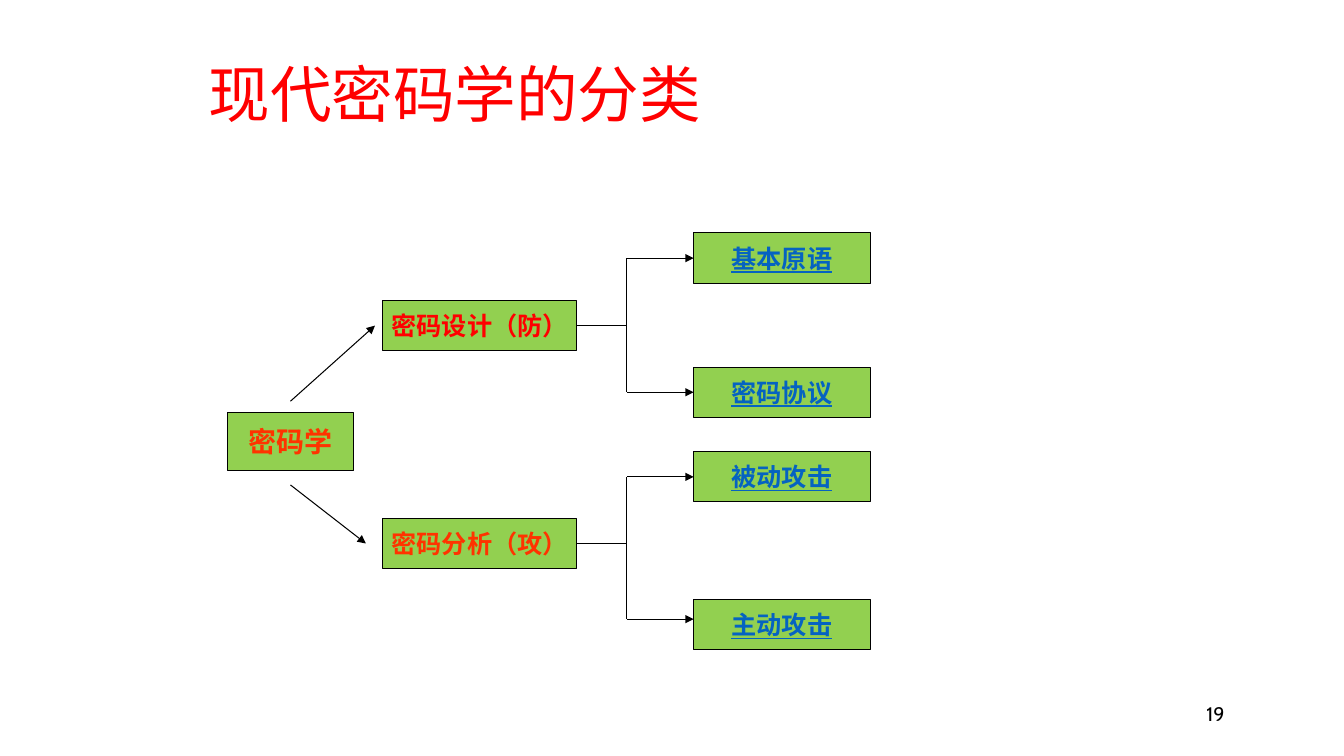
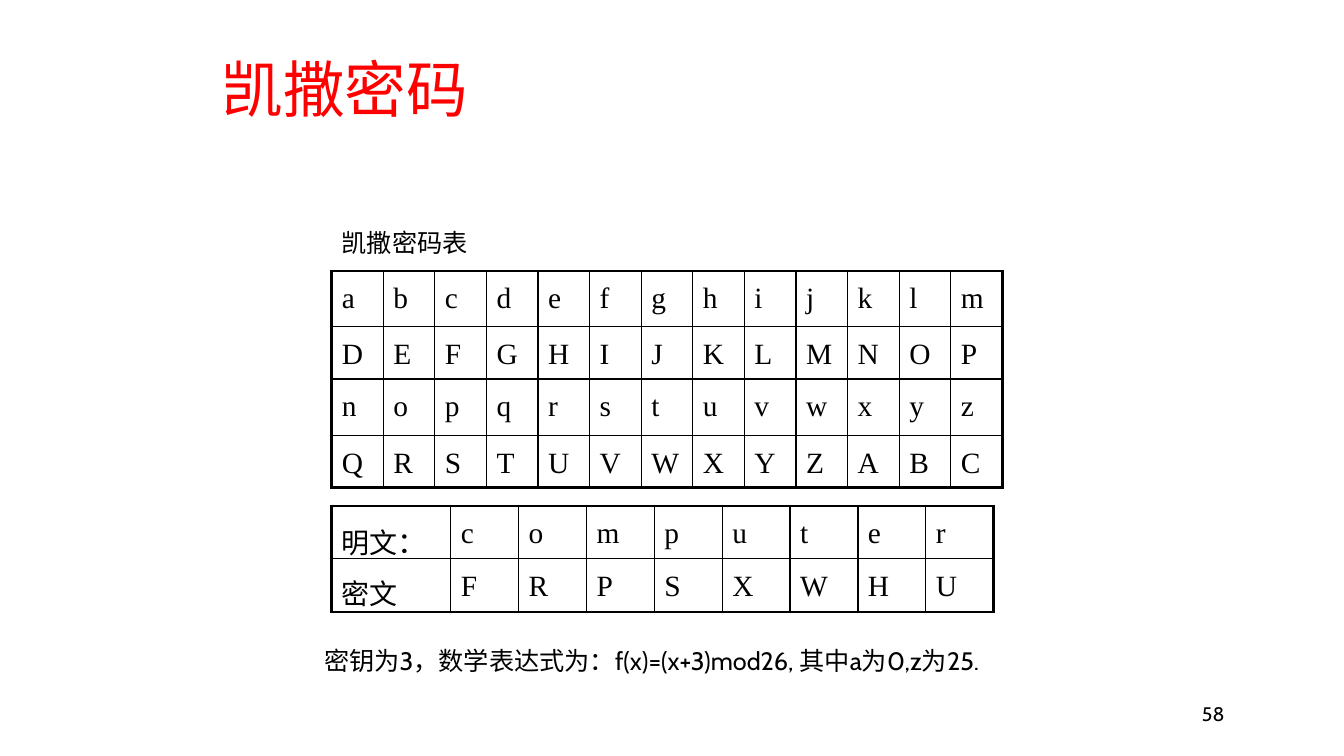
from dataclasses import dataclass
from typing import NamedTuple

from lxml.etree import SubElement
from pptx import Presentation
from pptx.dml.color import RGBColor
from pptx.enum.shapes import MSO_CONNECTOR, MSO_SHAPE
from pptx.enum.text import MSO_ANCHOR as Anchor
from pptx.enum.text import MSO_AUTO_SIZE as AutoSize
from pptx.enum.text import PP_ALIGN as Align
from pptx.oxml.ns import qn
from pptx.util import Cm, Pt

BLACK = RGBColor(0x00, 0x00, 0x00)
RED = RGBColor(0xFF, 0x00, 0x00)
ORANGE_RED = RGBColor(0xFF, 0x33, 0x00)
GREEN = RGBColor(0x92, 0xD0, 0x50)
LINK_BLUE = RGBColor(0x05, 0x63, 0xC1)

LATIN_FONT, CJK_FONT, TABLE_FONT = "Cabin", "Noto Sans CJK SC", "Times New Roman"
TITLE_ONLY = 5
TOP, LEFT, BOTTOM, RIGHT = range(4)


@dataclass(frozen=True)
class Style:
    size: int
    color: RGBColor = BLACK
    font: str = LATIN_FONT
    bold: bool = False
    underline: bool = False


class Box(NamedTuple):
    """A rectangle in centimetres."""
    left: float
    top: float
    width: float
    height: float

    @property
    def middle(self) -> float:
        return self.top + self.height / 2

    def lengths(self) -> list:
        return [Cm(v) for v in self]


class Leaf(NamedTuple):
    text: str
    top: float
    arrow_drop: float | None = None  # below the top; None means the middle


class Branch(NamedTuple):
    text: str
    top: float
    color: RGBColor
    arrow_start: tuple[float, float]
    arrow_end_x: float
    leaves: tuple[Leaf, ...]


TITLE = Style(44, RED, CJK_FONT)
PAGE_NUMBER = Style(14)
CAPTION = Style(18)
LEAF = Style(18, LINK_BLUE, bold=True, underline=True)
LETTER = Style(21, font=TABLE_FONT)
LABEL = Style(20, font=CJK_FONT)

PAGE_NUMBER_BOX = Box(25.83, 17.35, 5.28, 1.27)
ROOT_BOX = Box(5.74, 10.39, 3.18, 1.47)
BRANCH_LEFT, BRANCH_WIDTH = 9.65, 4.88
LEAF_LEFT, LEAF_WIDTH = 17.48, 4.45
NODE_HEIGHT = 1.27
TRUNK_X = 15.8

BRANCHES = (
    Branch("密码设计（防）", 7.57, RED, (7.32, 10.11), 9.45,
           (Leaf("基本原语", 5.87), Leaf("密码协议", 9.25))),
    Branch("密码分析（攻）", 13.06, ORANGE_RED, (7.32, 12.22), 9.22,
           (Leaf("被动攻击", 11.38), Leaf("主动攻击", 15.11, 0.49))),
)

TABLE_LEFT = 8.36
CIPHER_ROWS = ("abcdefghijklm", "DEFGHIJKLMNOP", "nopqrstuvwxyz", "QRSTUVWXYZABC")


def add_run(p, text: str, style: Style) -> None:
    r = p.add_run()
    r.text = text
    f = r.font
    f.size, f.name, f.bold, f.underline = Pt(style.size), style.font, style.bold, style.underline
    f.color.rgb = style.color
    SubElement(f._element, qn("a:ea"), typeface=CJK_FONT)


def add_text(slide, box: Box, text: str, style: Style, align=Align.LEFT, anchor=Anchor.TOP) -> None:
    tf = slide.shapes.add_textbox(*box.lengths()).text_frame
    tf.word_wrap = True
    tf.vertical_anchor = anchor
    p = tf.paragraphs[0]
    p.alignment = align
    add_run(p, text, style)


def add_slide(prs, title: str, left: float, top: float, number: int):
    slide = prs.slides.add_slide(prs.slide_layouts[TITLE_ONLY])
    sp = slide.shapes.title
    sp.left, sp.top, sp.width, sp.height = Box(left, top, 23.85, 2.84).lengths()
    tf = sp.text_frame
    tf.auto_size = AutoSize.NONE
    tf.vertical_anchor = Anchor.MIDDLE
    p = tf.paragraphs[0]
    p.alignment = Align.LEFT
    p.line_spacing = 0.9
    add_run(p, title, TITLE)
    add_text(slide, PAGE_NUMBER_BOX, str(number), PAGE_NUMBER, Align.RIGHT, Anchor.MIDDLE)
    return slide


def add_node(slide, box: Box, text: str, style: Style):
    sp = slide.shapes.add_shape(MSO_SHAPE.RECTANGLE, *box.lengths())
    sp.shadow.inherit = False
    sp.fill.solid()
    sp.fill.fore_color.rgb = GREEN
    sp.line.color.rgb = BLACK
    sp.line.width = Pt(0.75)
    tf = sp.text_frame
    tf.word_wrap = False
    tf.vertical_anchor = Anchor.MIDDLE
    p = tf.paragraphs[0]
    p.alignment = Align.CENTER
    add_run(p, text, style)
    return sp


def add_line(slide, start: tuple[float, float], end: tuple[float, float], arrow: bool = False):
    line = slide.shapes.add_connector(MSO_CONNECTOR.STRAIGHT, *(Cm(v) for v in start + end))
    line.line.color.rgb = BLACK
    line.line.width = Pt(0.75)
    if arrow:
        SubElement(line.line._get_or_add_ln(), qn("a:tailEnd"), type="triangle")
    SubElement(line._element.spPr, qn("a:effectLst"))
    return line


def add_branch(slide, branch: Branch) -> None:
    box = Box(BRANCH_LEFT, branch.top, BRANCH_WIDTH, NODE_HEIGHT)
    node = add_node(slide, box, branch.text, Style(18, branch.color, bold=True))
    add_line(slide, branch.arrow_start, (branch.arrow_end_x, box.middle), arrow=True)
    stem = add_line(slide, (box.left + box.width, box.middle), (TRUNK_X, box.middle))
    stem.begin_connect(node, RIGHT)

    arrow_ys = []
    for leaf in branch.leaves:
        leaf_box = Box(LEAF_LEFT, leaf.top, LEAF_WIDTH, NODE_HEIGHT)
        leaf_node = add_node(slide, leaf_box, leaf.text, LEAF)
        centred = leaf.arrow_drop is None
        y = leaf_box.middle if centred else leaf.top + leaf.arrow_drop
        arrow = add_line(slide, (TRUNK_X, y), (LEAF_LEFT, y), arrow=True)
        if centred:
            arrow.end_connect(leaf_node, LEFT)
        arrow_ys.append(y)
    add_line(slide, (TRUNK_X, min(arrow_ys)), (TRUNK_X, max(arrow_ys)))


def add_border(cell, side: str, width: float) -> None:
    ln = SubElement(cell._tc.get_or_add_tcPr(), qn(f"a:ln{side}"), w=str(Pt(width)))
    fill = SubElement(ln, qn("a:solidFill"))
    SubElement(fill, qn("a:srgbClr"), val=str(BLACK))


def fill_cell(cell, runs: list[tuple[str, Style]]) -> None:
    p = cell.text_frame.paragraphs[0]
    p.line_spacing = 1.2
    space = SubElement(p._p.get_or_add_pPr(), qn("a:spcBef"))
    SubElement(space, qn("a:spcPct"), val="20000")
    for text, style in runs:
        add_run(p, text, style)


def add_grid(slide, top: float, widths: list[float], heights: list[float], rows: list) -> None:
    """Add a table with a thick frame and thin inner lines; each cell is a list of runs."""
    box = Box(TABLE_LEFT, top, sum(widths), sum(heights))
    table = slide.shapes.add_table(len(rows), len(widths), *box.lengths()).table
    table.first_row = table.horz_banding = False
    for column, width in zip(table.columns, widths):
        column.width = Cm(width)
    for row, height in zip(table.rows, heights):
        row.height = Cm(height)
    for i, row in enumerate(rows):
        for j, runs in enumerate(row):
            cell = table.cell(i, j)
            fill_cell(cell, runs)
            on_frame = {"L": j == 0, "R": j == len(widths) - 1,
                        "T": i == 0, "B": i == len(rows) - 1}
            for side, outer in on_frame.items():
                add_border(cell, side, 2.25 if outer else 1)
            cell.fill.background()


def letters(text: str) -> list:
    return [[(c, LETTER)] for c in text]


def build_classification(prs) -> None:
    slide = add_slide(prs, "现代密码学的分类", 5, 1.04, 19)
    add_node(slide, ROOT_BOX, "密码学", Style(20, ORANGE_RED, bold=True))
    for branch in BRANCHES:
        add_branch(slide, branch)


def build_caesar(prs) -> None:
    slide = add_slide(prs, "凯撒密码", 5.33, 0.91, 58)
    add_text(slide, Box(TABLE_LEFT, 5.61, 8.18, 1.02), "凯撒密码表", CAPTION)
    add_grid(slide, 6.83, [1.3] * 13, [1.4, 1.32, 1.42, 1.32],
             [letters(row) for row in CIPHER_ROWS])
    add_grid(slide, 12.75, [3] + [1.71] * 8, [1.24, 1.35],
             [[[("明文", LABEL), ("：", LETTER)]] + letters("computer"),
              [[("密文", LABEL)]] + letters("FRPSXWHU")])
    add_text(slide, Box(7.92, 16.13, 17.81, 1.02),
             "密钥为3，数学表达式为：f(x)=(x+3)mod26, 其中a为0,z为25.", CAPTION)


def main() -> None:
    prs = Presentation()
    prs.slide_width, prs.slide_height = Cm(33.87), Cm(19.05)
    build_classification(prs)
    build_caesar(prs)
    prs.save("out.pptx")


if __name__ == "__main__":
    main()
